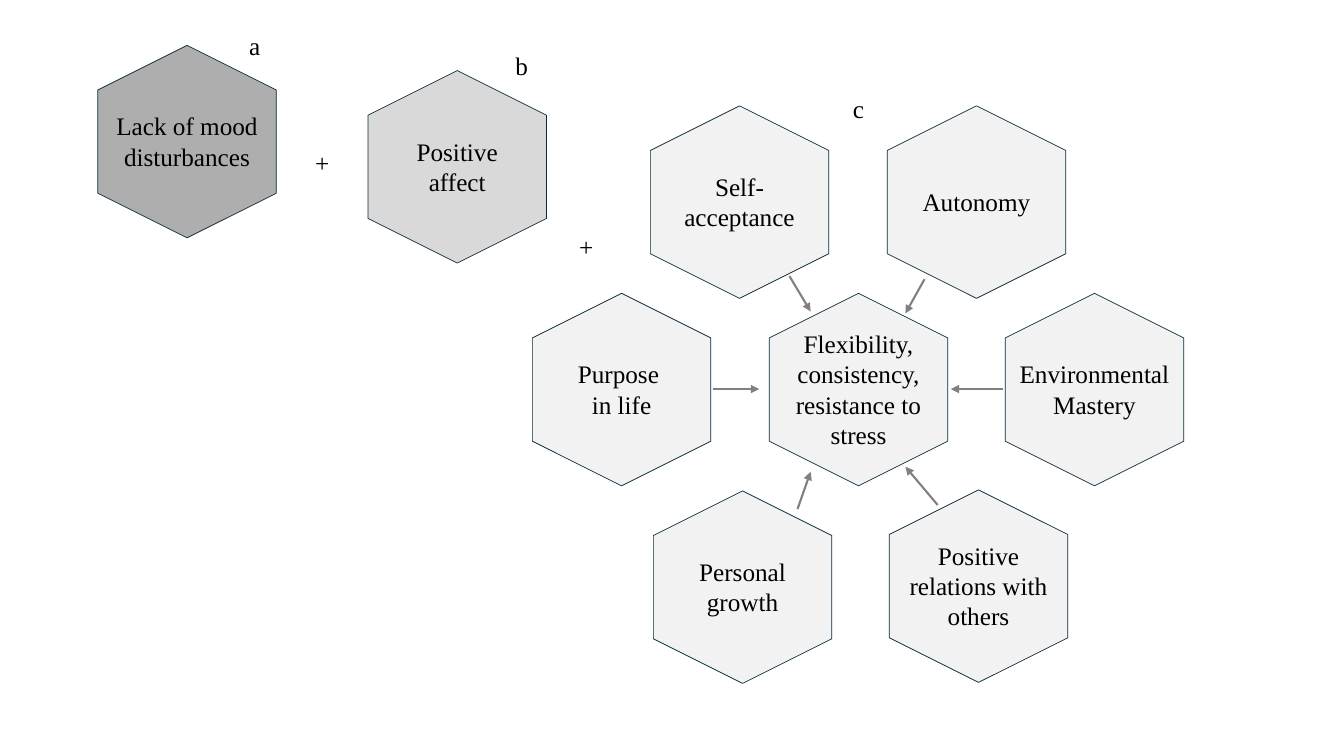
from lxml import etree
from pptx import Presentation
from pptx import util as u
from pptx.dml.color import RGBColor
from pptx.enum import shapes, text
from pptx.oxml.ns import qn

PX = 9144  # 100 px to the inch
BLACK = RGBColor(0x00, 0x00, 0x00)
NAVY = RGBColor(0x09, 0x2A, 0x39)
ARROW_GRAY = RGBColor(0x80, 0x80, 0x80)
DARK_GRAY = RGBColor(0xAE, 0xAE, 0xAE)
MID_GRAY = RGBColor(0xD9, 0xD9, 0xD9)
LIGHT_GRAY = RGBColor(0xF2, 0xF2, 0xF2)

HEXAGON_WIDTH, HEXAGON_HEIGHT = 191, 177  # before the quarter turn
LABEL_WIDTH, MARK_WIDTH = 177, 65
LINE_HEIGHT, LABEL_PADDING = 30, 10

presentation = Presentation()
presentation.slide_width = 1333 * PX
presentation.slide_height = 750 * PX
slide = presentation.slides.add_slide(presentation.slide_layouts[6])


def add_label(wording, left, top, width, lines=1):
    height = lines * LINE_HEIGHT + LABEL_PADDING
    box = slide.shapes.add_textbox(left * PX, top * PX, width * PX, height * PX)
    frame = box.text_frame
    frame.word_wrap = True
    frame.auto_size = text.MSO_AUTO_SIZE.SHAPE_TO_FIT_TEXT
    paragraph = frame.paragraphs[0]
    paragraph.text = wording
    paragraph.alignment = text.PP_ALIGN.CENTER
    font_format = {"name": "Times New Roman", "size": u.Pt(18)}
    for run in paragraph.runs:
        for name, value in font_format.items():
            setattr(run.font, name, value)
        run.font.color.rgb = BLACK


# wording, left, top, lines of text, fill
hexagons = [
    ("Lack of mood disturbances", 90, 52, 2, DARK_GRAY),
    ("Flexibility, consistency, resistance to stress", 756, 298, 4, LIGHT_GRAY),
    ("Positive\vaffect", 358, 77, 2, MID_GRAY),
    ("Personal growth", 641, 494, 2, LIGHT_GRAY),
    ("Positive relations with others", 875, 493, 3, LIGHT_GRAY),
    ("Environmental Mastery", 990, 298, 2, LIGHT_GRAY),
    ("Purpose \vin life", 521, 298, 2, LIGHT_GRAY),
    ("Self- acceptance", 638, 112, 2, LIGHT_GRAY),
    ("Autonomy", 873, 112, 1, LIGHT_GRAY),
]
for wording, left, top, lines, fill in hexagons:
    hexagon = slide.shapes.add_shape(
        shapes.MSO_SHAPE.HEXAGON,
        left * PX, top * PX, HEXAGON_WIDTH * PX, HEXAGON_HEIGHT * PX,
    )
    hexagon.rotation = 90
    hexagon.shadow.inherit = False
    hexagon.fill.solid()
    hexagon.fill.fore_color.rgb = fill
    hexagon.line.color.rgb = NAVY
    hexagon.line.width = u.Pt(0.5)
    label_height = lines * LINE_HEIGHT + LABEL_PADDING
    add_label(
        wording,
        left + (HEXAGON_WIDTH - LABEL_WIDTH) // 2,
        top + (HEXAGON_HEIGHT - label_height) // 2,
        LABEL_WIDTH,
        lines,
    )

# from x, from y, to x, to y
arrows = [
    (707, 386, 753, 386),
    (791, 505, 804, 468),
    (783, 274, 804, 309),
    (917, 277, 898, 311),
    (995, 386, 943, 386),
    (930, 501, 898, 463),
]
for ends in arrows:
    arrow = slide.shapes.add_connector(
        shapes.MSO_CONNECTOR.STRAIGHT, *(end * PX for end in ends)
    )
    arrow.line.color.rgb = ARROW_GRAY
    arrow.line.width = u.Pt(1.5)
    etree.SubElement(arrow.line._get_or_add_ln(), qn("a:tailEnd"), type="triangle")
    etree.SubElement(arrow._element.spPr, qn("a:effectLst"))

marks = [("+", 287, 141), ("+", 549, 225), ("a", 220, 25), ("b", 485, 45), ("c", 819, 88)]
for wording, left, top in marks:
    add_label(wording, left, top, MARK_WIDTH)

presentation.save("out.pptx")
